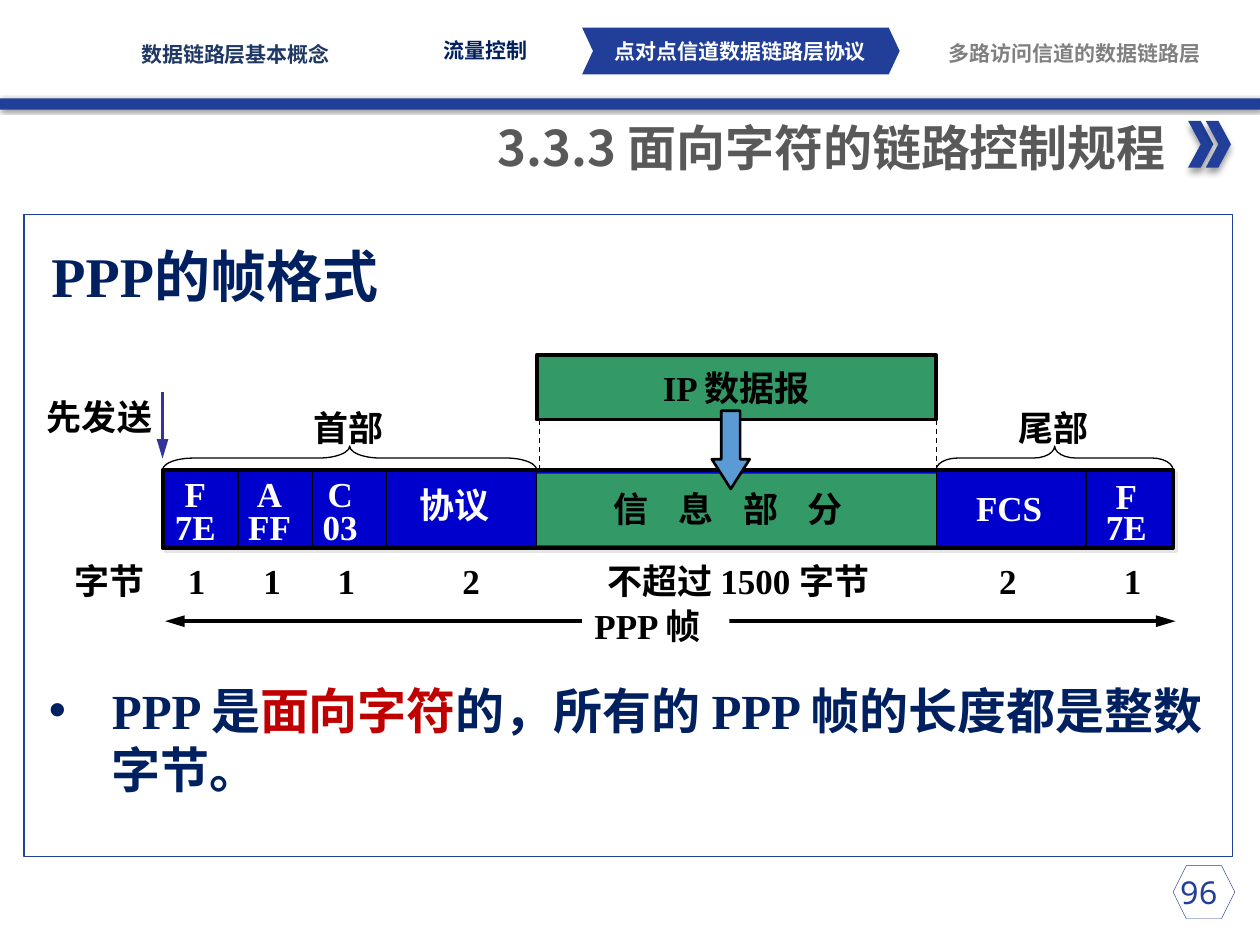
from dataclasses import dataclass
from itertools import accumulate
from lxml.etree import SubElement as Sub
from pptx import Presentation
from pptx.dml.color import RGBColor as RGB
from pptx.enum.dml import MSO_LINE as Dash
from pptx.enum.shapes import MSO_CONNECTOR as Conn, MSO_SHAPE as Kind
from pptx.enum.text import MSO_ANCHOR as Anchor, PP_ALIGN as Align
from pptx.oxml.ns import qn
from pptx.util import Inches, Pt


@dataclass(frozen=True)
class Theme:
    blue: str = "213F99"
    navy: str = "002060"
    slate: str = "203864"
    gray: str = "808080"
    dark: str = "595959"
    red: str = "C00000"
    cell: str = "0000CC"
    green: str = "339966"
    sky: str = "5B9BD5"
    violet: str = "333399"
    pale: str = "E7E6E6"
    black: str = "000000"
    white: str = "FFFFFF"
    serif: str = "Times New Roman"
    sans: str = "Noto Sans CJK SC"
    narrow: str = "Arial Narrow"
    mono: str = "Noto Sans Mono"
    small: int = 12
    page: int = 18
    label: int = 20
    body: int = 28
    head: int = 32


T = Theme()


def write(shape, text, size=T.label, color=T.black, font=T.serif, bold=True,
          align=Align.LEFT, anchor=Anchor.TOP, wrap=True, inset=None,
          bullet=None, gap=0):
    """Text is a string, or a list of (string, format overrides) runs."""
    frame = shape.text_frame
    frame.word_wrap, frame.vertical_anchor = wrap, anchor
    if inset is not None:
        frame.margin_left = frame.margin_right = Inches(inset)
        frame.margin_top = frame.margin_bottom = Inches(inset)
    para = frame.paragraphs[0]
    para.alignment = align
    if bullet:
        props = para._p.get_or_add_pPr()
        props.set("marL", str(Inches(0.5)))
        props.set("indent", str(-Inches(0.5)))
        Sub(props, qn("a:buFont"), typeface="Arial")
        Sub(props, qn("a:buChar"), char=bullet)
    for part, look in [(text, {})] if isinstance(text, str) else text:
        run = para.add_run()
        run.text = part
        run.font.size, run.font.bold = Pt(size), bold
        run.font.name = look.get("font", font)
        run.font.color.rgb = RGB.from_string(look.get("color", color))
        if gap:
            run.font._element.set("spc", str(gap * 100))
    return shape


def label(slide, box, text, **form):
    return write(slide.shapes.add_textbox(*map(Inches, box)), text, **form)


def center(slide, mid, top, text, wide=1, **form):
    """One line of text centred on mid."""
    return label(slide, (mid - wide / 2, top, wide, 0.43), text,
                 align=Align.CENTER, wrap=False, **form)


def shape(slide, kind, box, fill=None, line=None, width=0.75, adjust=(),
          turn=0, shadow=None):
    """Shadow is (colour, opacity, blur, distance, angle)."""
    item = slide.shapes.add_shape(kind, *map(Inches, box))
    item.shadow.inherit = False
    item.rotation = turn
    for spot, value in enumerate(adjust):
        item.adjustments[spot] = value
    if fill:
        item.fill.solid()
        item.fill.fore_color.rgb = RGB.from_string(fill)
    else:
        item.fill.background()
    if line:
        item.line.color.rgb = RGB.from_string(line)
        item.line.width = Pt(width)
    else:
        item.line.fill.background()
    if shadow:
        color, alpha, blur, dist, angle = shadow
        outer = Sub(item._element.spPr.find(qn("a:effectLst")), qn("a:outerShdw"),
                    blurRad=str(Pt(blur)), dist=str(Pt(dist)),
                    dir=str(angle * 60000), rotWithShape="0")
        tint = Sub(outer, qn("a:srgbClr"), val=color)
        Sub(tint, qn("a:alpha"), val=str(alpha * 1000))
    return item


def link(slide, start, end, color=T.black, width=0.75, dash=None, tips=()):
    item = slide.shapes.add_connector(Conn.STRAIGHT, *map(Inches, start + end))
    item.line.color.rgb = RGB.from_string(color)
    item.line.width = Pt(width)
    if dash:
        item.line.dash_style = dash
    for tip in tips:
        Sub(item.line._get_or_add_ln(), qn("a:" + tip), type="triangle", len="lg")
    Sub(item._element.spPr, qn("a:effectLst"))


def nav(slide, box):
    x, y, w, h = box
    shape(slide, Kind.RECTANGLE, (x, y + h - 0.09, w, 0.09), T.blue,
          shadow=(T.black, 40, 2, 1, 45))
    shape(slide, Kind.CHEVRON, (x + 4.62, y + 0.22, 2.52, 0.37), T.blue,
          adjust=[0.234])
    tabs = [(0.92, 0.33, 1.9, "数据链路层基本概念", T.slate),
            (3.2, 0.3, 1.3, "流量控制", T.navy),
            (4.75, 0.31, 2.25, "点对点信道数据链路层协议", T.white),
            (7.51, 0.32, 2.04, "多路访问信道的数据链路层", T.gray)]
    for left, top, wide, text, color in tabs:
        label(slide, (x + left, y + top, wide, 0.2), text, size=T.small,
              color=color, font=T.narrow, align=Align.CENTER,
              anchor=Anchor.MIDDLE, inset=0)


def title(slide, box):
    x, y, w, h = box
    for step in range(2):
        shape(slide, Kind.CHEVRON, (x + w - 0.34 + 0.14 * step, y + 0.08, 0.2, 0.37),
              T.blue, shadow=(T.black, 40, 4, 3, 90))
    label(slide, (x, y, w - 0.42, h),
          [("3.3.3 ", {"font": T.sans}), ("面向字符的链路控制规程", {})],
          size=T.body, color=T.dark, align=Align.RIGHT, wrap=False)


def panel(slide, box):
    x, y, w, h = box
    shape(slide, Kind.RECTANGLE, box, line=T.blue)
    label(slide, (x + 0.12, y + 0.17, w - 0.3, 0.65), "PPP的帧格式",
          size=T.head, color=T.navy)
    label(slide, (x + 0.1, y + 3.65, w - 0.22, 1.04),
          [("PPP 是", {}), ("面向字符", {"color": T.red}),
           ("的，所有的 PPP 帧的长度都是整数字节。", {})],
          size=T.body, color=T.navy, bullet="•")


def brace(slide, left, right, base, name, adjust):
    """Upward brace over left to right, its ends at base."""
    thick, span, mid = 0.19, right - left, (left + right) / 2
    shape(slide, Kind.LEFT_BRACE,
          (mid - thick / 2, base - (thick + span) / 2, thick, span),
          line=T.black, adjust=adjust, turn=90)
    center(slide, mid - 0.01, base - 0.55, name)


def packet(slide, box):
    """Frame layout, built around the bar that fills the box."""
    x, y, w, h = box
    # width, label centre, (text, drop) lines, byte count, count centre
    fields = [(0.6, 0.26, [("F", -0.03), ("7E", 0.23)], "1", 0.27),
              (0.59, 0.25, [("A", -0.03), ("FF", 0.23)], "1", 0.27),
              (0.59, 0.22, [("C", -0.03), ("03", 0.23)], "1", 0.27),
              (1.19, 0.54, [("协议", 0.06)], "2", 0.67),
              (3.17, 1.52, [("信息部分", 0.09)], "不超过 1500 字节", 1.6),
              (1.19, 0.58, [("FCS", 0.08)], "2", 0.57),
              (0.69, 0.32, [("F", -0.01), ("7E", 0.23)], "1", 0.37)]
    info = 4
    edges = list(accumulate((field[0] for field in fields), initial=x))
    left, right = edges[info:info + 2]

    datagram = shape(slide, Kind.RECTANGLE, (left, y - 0.91, right - left, 0.51),
                     T.green, T.black, 2.25)
    write(datagram, "IP 数据报", align=Align.CENTER, anchor=Anchor.MIDDLE, wrap=False)
    for edge in (left + 0.02, right):
        link(slide, (edge, y - 0.4), (edge, y), dash=Dash.DASH)
    shape(slide, Kind.RECTANGLE, box, T.cell, T.black, 2.25,
          shadow=(T.pale, 100, 0, 2.8, 45))
    shape(slide, Kind.RECTANGLE, (left, y + 0.03, right - left, h - 0.05), T.green)
    for edge in edges[1:-1]:
        link(slide, (edge, y), (edge, y + h))
    for spot, (edge, field) in enumerate(zip(edges, fields)):
        _, mid, lines, count, under = field
        wide, color, gap = (2.8, T.black, 17) if spot == info else (1, T.white, 0)
        for text, drop in lines:
            center(slide, edge + mid, y + drop, text, wide, color=color, gap=gap)
        center(slide, edge + under, y + 0.66, count, wide)

    brace(slide, x, left, y, "首部", [1.285, 0.5])
    brace(slide, right, x + w, y, "尾部", [0.885, 0.5])
    shape(slide, Kind.DOWN_ARROW, (x + 4.36, y - 0.47, 0.3, 0.62), T.sky, T.black,
          1.5, adjust=[0.5, 0.783])
    center(slide, x - 0.5, y - 0.64, "先发送", 1.4)
    link(slide, (x, y - 0.62), (x, y - 0.09), T.violet, 2.25, tips=["tailEnd"])
    center(slide, x - 0.42, y + 0.66, "字节")
    link(slide, (x + 0.02, y + 1.2), (x + w + 0.02, y + 1.2), width=2.25,
         tips=["headEnd", "tailEnd"])
    write(shape(slide, Kind.RECTANGLE, (x + 3.33, y + 1.02, 1.17, 0.43), T.white),
          "PPP 帧")


def number(slide, box):
    x, y, w, h = box
    shape(slide, Kind.HEXAGON, box, line=T.blue, width=0.25)
    label(slide, (x - 0.23, y + 0.01, w + 0.38, h - 0.02), "96", size=T.page,
          color=T.blue, font=T.mono, bold=False, align=Align.CENTER)


def main():
    deck = Presentation()
    deck.slide_width, deck.slide_height = Inches(10), Inches(7.5)
    slide = deck.slides.add_slide(deck.slide_layouts[6])
    nav(slide, (0, 0, 10, 0.87))
    title(slide, (3.74, 0.88, 6.03, 0.57))
    panel(slide, (0.19, 1.7, 9.59, 5.1))
    packet(slide, (1.29, 3.73, 8.02, 0.62))
    number(slide, (9.31, 6.87, 0.49, 0.42))
    deck.save("out.pptx")


if __name__ == "__main__":
    main()
